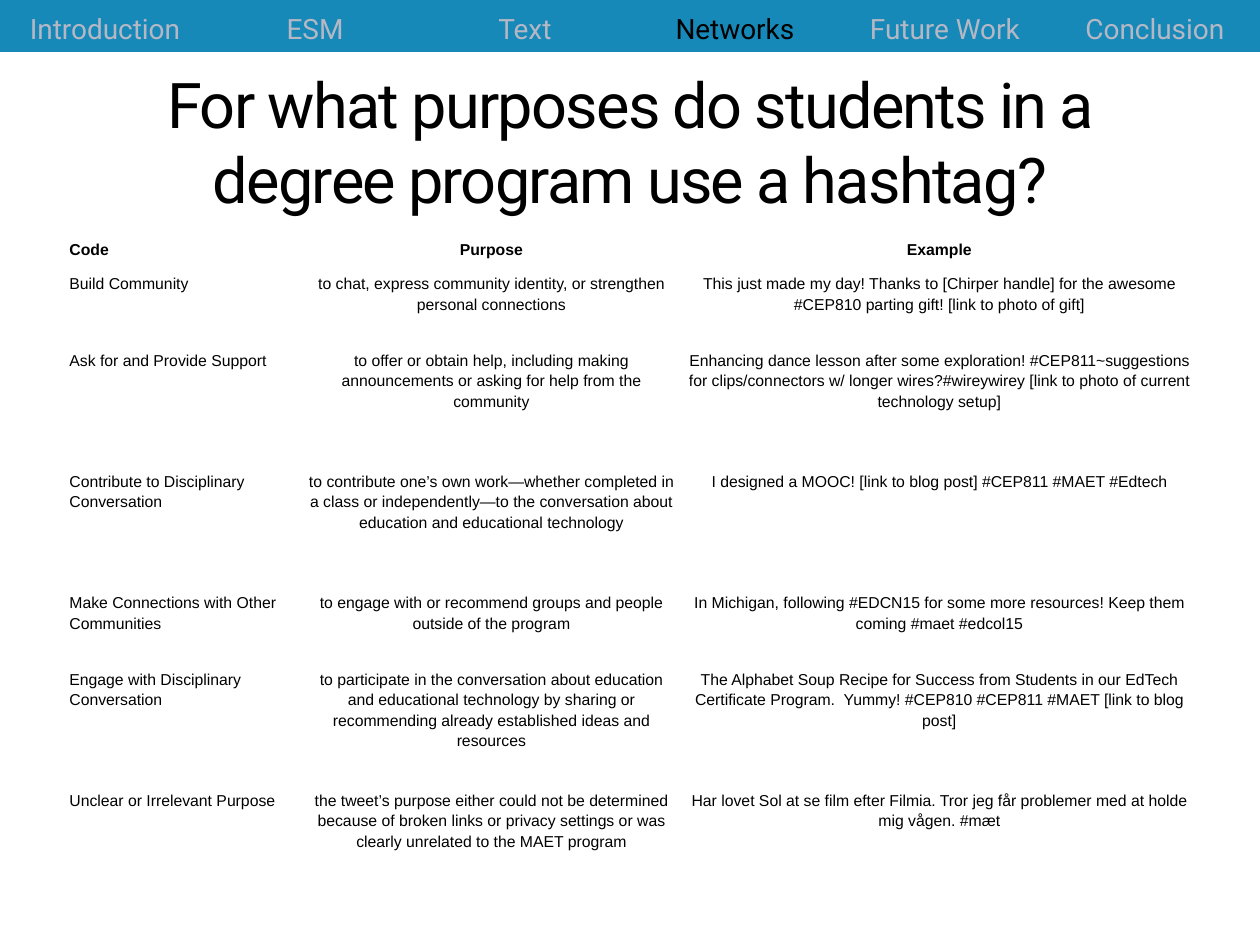
"""Build the slide on the purposes of a hashtag in a degree program."""

from dataclasses import dataclass

from lxml.etree import SubElement
from pptx import Presentation
from pptx.dml.color import RGBColor
from pptx.enum.shapes import MSO_SHAPE
from pptx.enum.text import MSO_ANCHOR, PP_ALIGN
from pptx.oxml.ns import qn
from pptx.table import Table, _Cell
from pptx.text.text import TextFrame
from pptx.util import Cm, Pt

COLORS = {"bar": "1689B9", "muted": "B5B8C4", "ink": "000000", "border": "FFFFFF"}
NO_STYLE = "{2D5ABB26-0587-4C30-8999-92F81FD0307C}"
PAGE_WIDTH = 25.4
SECTIONS = ["Introduction", "ESM", "Text", "Networks", "Future Work", "Conclusion"]
CURRENT_SECTION = "Networks"
COLUMN_WIDTHS = [4.8, 7.67, 10.39]


@dataclass(frozen=True)
class TextStyle:
    font: str
    size: float
    color: str = "ink"
    bold: bool = False
    align: PP_ALIGN = PP_ALIGN.CENTER
    line_spacing: float = 1.0


@dataclass(frozen=True)
class PurposeRow:
    height: float
    code: str
    purpose: str
    example: str


ROWS = [
    PurposeRow(0.69, "Code", "Purpose", "Example"),
    PurposeRow(
        1.55,
        "Build Community",
        "to chat, express community identity, or strengthen personal connections",
        "This just made my day! Thanks to [Chirper handle] for the awesome "
        "#CEP810 parting gift! [link to photo of gift]",
    ),
    PurposeRow(
        2.44,
        "Ask for and Provide Support",
        "to offer or obtain help, including making announcements or asking for "
        "help from the community",
        "Enhancing dance lesson after some exploration! #CEP811~suggestions for "
        "clips/connectors w/ longer wires?#wireywirey [link to photo of current "
        "technology setup]",
    ),
    PurposeRow(
        2.44,
        "Contribute to Disciplinary Conversation",
        "to contribute one’s own work—whether completed in a class or "
        "independently—to the conversation about education and educational technology",
        "I designed a MOOC! [link to blog post] #CEP811 #MAET #Edtech",
    ),
    PurposeRow(
        1.55,
        "Make Connections with Other Communities",
        "to engage with or recommend groups and people outside of the program",
        "In Michigan, following #EDCN15 for some more resources! Keep them "
        "coming #maet #edcol15",
    ),
    PurposeRow(
        2.44,
        "Engage with Disciplinary Conversation",
        "to participate in the conversation about education and educational "
        "technology by sharing or recommending already established ideas and resources",
        "The Alphabet Soup Recipe for Success from Students in our EdTech "
        "Certificate Program.  Yummy! #CEP810 #CEP811 #MAET [link to blog post]",
    ),
    PurposeRow(
        2.44,
        "Unclear or Irrelevant Purpose",
        "the tweet’s purpose either could not be determined because of broken "
        "links or privacy settings or was clearly unrelated to the MAET program",
        "Har lovet Sol at se film efter Filmia. Tror jeg får problemer med at "
        "holde mig vågen. #mæt",
    ),
]


def color(name: str) -> RGBColor:
    """Return the named colour."""
    return RGBColor.from_string(COLORS[name])


def write(frame: TextFrame, text: str, style: TextStyle, tracking: int = 0) -> None:
    """Write one styled run into the first paragraph of a frame."""
    para = frame.paragraphs[0]
    para.alignment = style.align
    para.line_spacing = style.line_spacing
    span = para.add_run()
    span.text = text
    span.font.name = style.font
    span.font.size = Pt(style.size)
    span.font.bold = style.bold
    span.font.color.rgb = color(style.color)
    if tracking:
        span.font._element.set("spc", str(tracking))


def add_plain_table(
    page, left: float, top: float, widths: list[float], heights: list[float]
) -> Table:
    """Add a table without style or banding."""
    frame = page.shapes.add_table(
        len(heights), len(widths), Cm(left), Cm(top), Cm(sum(widths)), Cm(sum(heights))
    )
    table = frame.table
    table.first_row = table.horz_banding = False
    table._tbl.tblPr.find(qn("a:tableStyleId")).text = NO_STYLE
    for column, width in zip(table.columns, widths):
        column.width = Cm(width)
    for row, height in zip(table.rows, heights):
        row.height = Cm(height)
    return table


def add_borders(cell: _Cell) -> None:
    """Outline a cell on all four sides."""
    properties = cell._tc.get_or_add_tcPr()
    for side in ("lnL", "lnR", "lnT", "lnB"):
        line = SubElement(properties, qn(f"a:{side}"), w=str(Pt(1)))
        fill = SubElement(line, qn("a:solidFill"))
        SubElement(fill, qn("a:srgbClr"), val=COLORS["border"])


def add_title(page, text: str) -> None:
    """Add the centred slide title."""
    box = page.shapes.add_textbox(Cm(1.27), Cm(1.47), Cm(22.86), Cm(2.74))
    box.text_frame.word_wrap = True
    box.text_frame.vertical_anchor = MSO_ANCHOR.MIDDLE
    write(box.text_frame, text, TextStyle("Roboto", 36), tracking=-100)


def add_purposes(page) -> None:
    """Add the table of codes, purposes and examples."""
    table = add_plain_table(
        page, 1.27, 4.67, COLUMN_WIDTHS, [row.height for row in ROWS]
    )
    for row_index, row in enumerate(ROWS):
        for column_index, text in enumerate((row.code, row.purpose, row.example)):
            cell = table.cell(row_index, column_index)
            cell.margin_left = cell.margin_right = Cm(0.13)
            cell.margin_top = cell.margin_bottom = Cm(0.13)
            add_borders(cell)
            cell.fill.background()
            align = PP_ALIGN.CENTER if column_index else PP_ALIGN.LEFT
            style = TextStyle("Arial", 9, "ink", row_index == 0, align, 1.15)
            write(cell.text_frame, text, style)


def add_navigation(page) -> None:
    """Add the section bar with the current section highlighted."""
    bar = page.shapes.add_shape(MSO_SHAPE.RECTANGLE, 0, 0, Cm(PAGE_WIDTH), Cm(1.02))
    bar.shadow.inherit = False
    bar.fill.solid()
    bar.fill.fore_color.rgb = color("bar")
    bar.line.fill.background()
    widths = [PAGE_WIDTH / len(SECTIONS)] * len(SECTIONS)
    table = add_plain_table(page, 0, -0.08, widths, [1.13])
    for index, section in enumerate(SECTIONS):
        cell = table.cell(0, index)
        cell.vertical_anchor = MSO_ANCHOR.BOTTOM
        cell.fill.solid()
        cell.fill.fore_color.rgb = color("bar")
        tone = "ink" if section == CURRENT_SECTION else "muted"
        write(cell.text_frame, section, TextStyle("Roboto", 16, tone))


def main() -> None:
    """Build and save the deck."""
    deck = Presentation()
    deck.slide_width, deck.slide_height = Cm(PAGE_WIDTH), Cm(19.05)
    page = deck.slides.add_slide(deck.slide_layouts[6])
    add_navigation(page)
    add_title(page, "For what purposes do students in a degree program use a hashtag?")
    add_purposes(page)
    deck.save("out.pptx")


if __name__ == "__main__":
    main()
